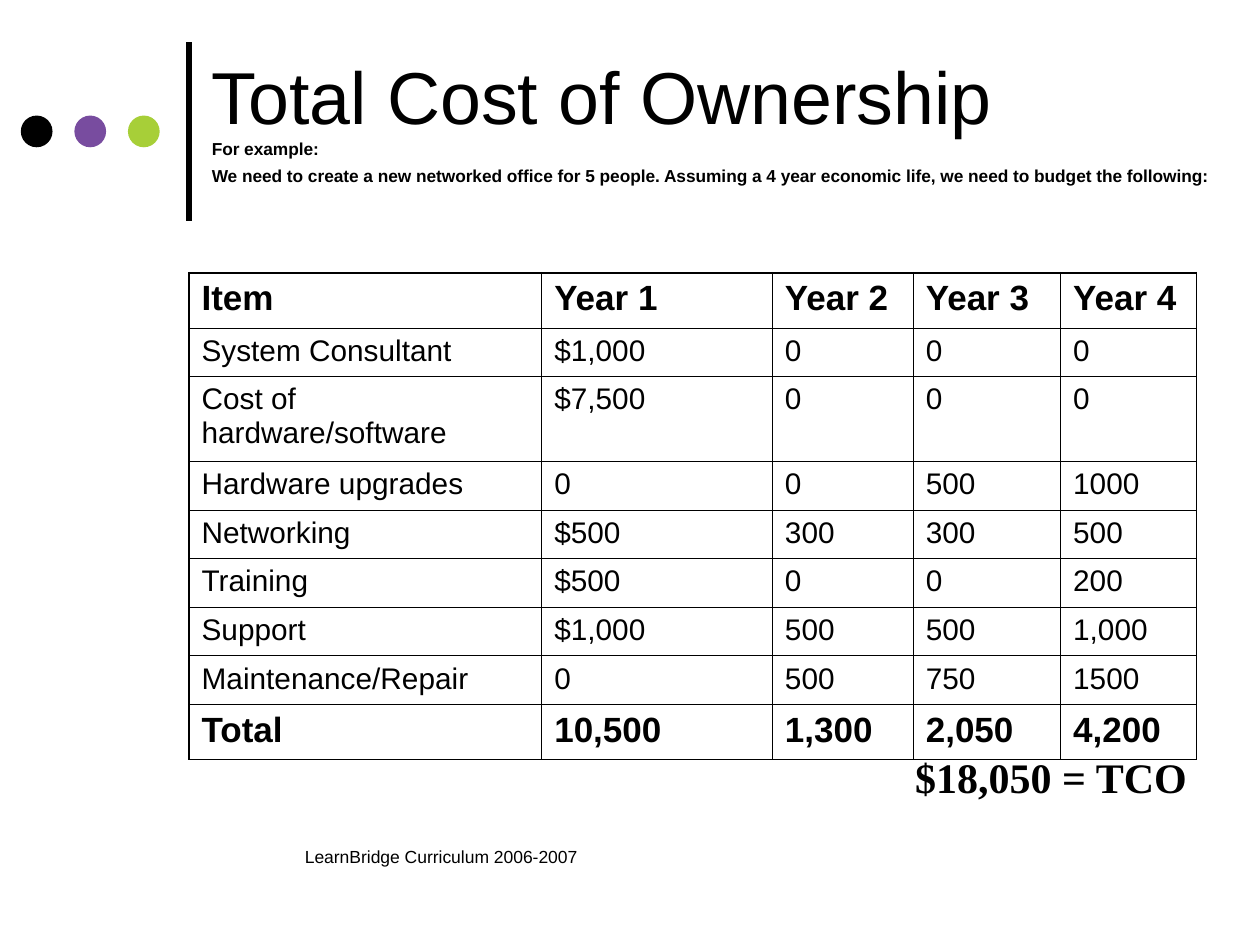
"""Build the Total Cost of Ownership slide."""
from lxml import etree
from pptx import Presentation
from pptx import util as u
from pptx.dml.color import RGBColor
from pptx.enum import shapes, text
from pptx.oxml import ns

BLACK = RGBColor(0x00, 0x00, 0x00)
PURPLE = RGBColor(0x78, 0x4C, 0x9F)
GREEN = RGBColor(0xA7, 0xCF, 0x38)
THIN, THICK = 0.45, 1.08

COLS = [7.11, 4.65, 2.84, 2.97, 2.74]
COSTS = [
    ["Item", "Year 1", "Year 2", "Year 3", "Year 4"],
    ["System Consultant", "$1,000", "0", "0", "0"],
    ["Cost of hardware/software", "$7,500", "0", "0", "0"],
    ["Hardware upgrades", "0", "0", "500", "1000"],
    ["Networking", "$500", "300", "300", "500"],
    ["Training", "$500", "0", "0", "200"],
    ["Support", "$1,000", "500", "500", "1,000"],
    ["Maintenance/Repair", "0", "500", "750", "1500"],
    ["Total", "10,500", "1,300", "2,050", "4,200"],
]
ROWS = [1.11, 0.98, 1.71] + [0.98] * 5 + [1.11]


def style(para, size, bold=False, face="Arial", before=0):
    for run in para.runs:
        font = run.font
        font.name, font.size, font.bold = face, u.Pt(size), bold
        font.color.rgb = BLACK
    if before:
        para.space_before = u.Pt(before)


def add_text(slide, box, words, size, **look):
    frame = slide.shapes.add_textbox(*map(u.Cm, box)).text_frame
    frame.word_wrap = True
    frame.text = words
    for para in frame.paragraphs:
        style(para, size, **look)
    return frame


def add_dot(slide, left, color):
    dot = slide.shapes.add_shape(
        shapes.MSO_SHAPE.OVAL, *map(u.Cm, (left, 2.33, 0.64, 0.64)))
    dot.shadow.inherit = False
    dot.fill.solid()
    dot.fill.fore_color.rgb = color
    dot.line.fill.background()


def add_rule(slide, ends, width):
    rule = slide.shapes.add_connector(
        shapes.MSO_CONNECTOR.STRAIGHT, *map(u.Cm, ends))
    rule.line.color.rgb = BLACK
    rule.line.width = u.Pt(width)
    etree.SubElement(rule._element.spPr, ns.qn("a:effectLst"))


def set_edges(cell, edges):
    props = cell._tc.get_or_add_tcPr()
    for spot, (side, width) in enumerate(edges.items()):
        line = etree.Element(ns.qn(f"a:ln{side}"), w=str(u.Pt(width)))
        fill = etree.SubElement(line, ns.qn("a:solidFill"))
        etree.SubElement(fill, ns.qn("a:srgbClr"), val=str(BLACK))
        props.insert(spot, line)


def add_costs(slide, left, top):
    size = (sum(COLS), sum(ROWS))
    table = slide.shapes.add_table(
        len(ROWS), len(COLS), *map(u.Cm, (left, top, *size))).table
    table.first_row = table.horz_banding = False
    for col, width in zip(table.columns, COLS):
        col.width = u.Cm(width)
    for row, height in zip(table.rows, ROWS):
        row.height = u.Cm(height)
    end, last = len(ROWS) - 1, len(COLS) - 1
    for r, values in enumerate(COSTS):
        strong = r in (0, end)
        for c, value in enumerate(values):
            cell = table.cell(r, c)
            cell.text_frame.text = value
            style(cell.text_frame.paragraphs[0], 20 if strong else 17,
                  bold=strong, before=5 if strong else 4.2)
            cell.fill.background()
            outer = {"L": c == 0, "R": c == last, "T": r == 0, "B": r == end}
            set_edges(cell, {side: THICK if out else THIN
                             for side, out in outer.items()})


def main():
    deck = Presentation()
    deck.slide_width, deck.slide_height = u.Cm(25.4), u.Cm(19.05)
    slide = deck.slides.add_slide(deck.slide_layouts[6])

    add_rule(slide, (3.81, 4.45, 3.81, 0.85), 3)
    for i, color in enumerate((BLACK, PURPLE, GREEN)):
        add_dot(slide, 0.42 + 1.08 * i, color)

    title = add_text(slide, (4.02, 0.85, 19.48, 2.12),
                     "Total Cost of Ownership", 42)
    title.vertical_anchor = text.MSO_ANCHOR.MIDDLE
    intro = add_text(
        slide, (4.02, 2.75, 21.38, 1.48),
        "For example:\nWe need to create a new networked office for 5 people. "
        "Assuming a 4 year economic life, we need to budget the following:",
        9.9, bold=True, before=5.6)
    for para in intro.paragraphs:
        para.line_spacing = 0.8

    add_costs(slide, 3.81, 5.5)
    add_text(slide, (18.2, 15.03, 6.77, 1.27), "$18,050 = TCO", 24,
             bold=True, face="Times New Roman", before=15)
    foot = add_text(slide, (4.87, 16.93, 8.04, 1.27),
                    "LearnBridge Curriculum 2006-2007", 10)
    foot.paragraphs[0].alignment = text.PP_ALIGN.CENTER
    deck.save("out.pptx")


if __name__ == "__main__":
    main()
